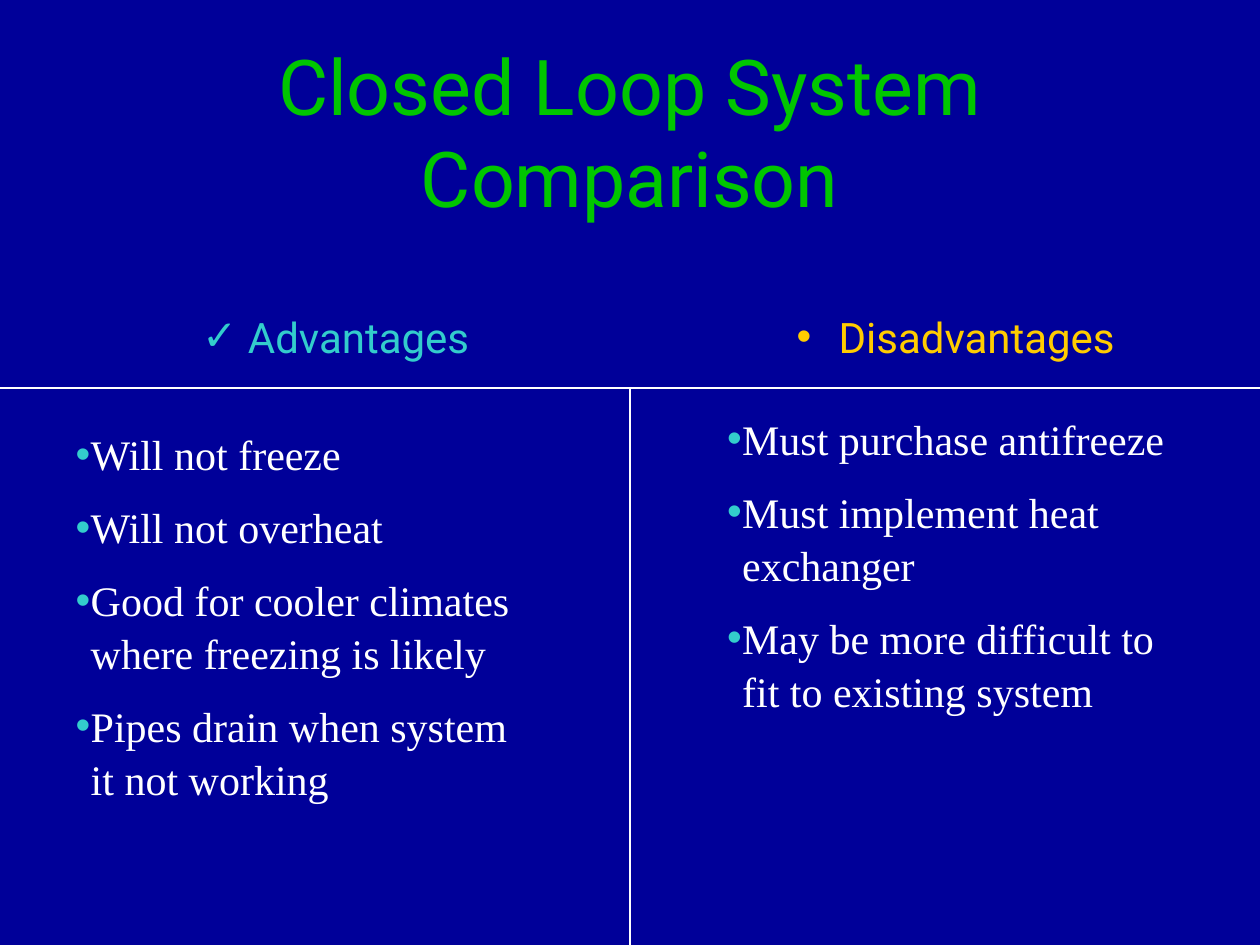
from pptx import Presentation
from pptx.dml.color import RGBColor as Rgb
from pptx.enum.shapes import MSO_CONNECTOR as Conn
from pptx.enum.text import MSO_ANCHOR as Anchor, MSO_AUTO_SIZE as Fit, PP_ALIGN as Align
from pptx.oxml.ns import qn
from pptx.util import Inches, Pt
from lxml.etree import SubElement as Sub

COLORS = {
    "back": "000099",
    "title": "00C600",
    "pro": "33CCCC",
    "con": "FFCC00",
    "text": "FFFFFF",
}
SANS, SERIF = "Roboto", "Times New Roman"

PROS = [
    "Will not freeze",
    "Will not overheat",
    "Good for cooler climates where freezing is likely",
    "Pipes drain when system it not working",
]
CONS = [
    "Must purchase antifreeze",
    "Must implement heat exchanger",
    "May be more difficult to fit to existing system",
]


def color(name):
    return Rgb.from_string(COLORS[name])


def place(holder, box, anchor=Anchor.TOP):
    """Move a placeholder and return its text frame."""
    holder.left, holder.top, holder.width, holder.height = map(Inches, box)
    frame = holder.text_frame
    frame.word_wrap = True
    frame.auto_size = Fit.NONE
    frame.vertical_anchor = anchor
    return frame


def add_run(para, text, font, size, tint):
    run = para.add_run()
    run.text = text
    run.font.name = font
    run.font.size = Pt(size)
    run.font.bold = False
    run.font.color.rgb = color(tint)


def set_bullet(para, char, tint, hang):
    props = para._p.get_or_add_pPr()
    props.set("marL", str(Inches(hang)))
    props.set("indent", str(-Inches(hang)))
    fill = Sub(props, qn("a:buClr"))
    Sub(fill, qn("a:srgbClr"), val=COLORS[tint])
    Sub(props, qn("a:buFont"), typeface="Arial")
    Sub(props, qn("a:buChar"), char=char)


def add_title(holder, text):
    para = place(holder, (0.5, 0.32, 9, 1.43), Anchor.MIDDLE).paragraphs[0]
    para.alignment = Align.CENTER
    add_run(para, text, SANS, 44, "title")


def add_head(holder, box, char, text, tint):
    para = place(holder, box).paragraphs[0]
    para.alignment = Align.CENTER
    para.space_before = Pt(0)
    set_bullet(para, char, tint, 0.25)
    add_run(para, text, SANS, 24, tint)


def add_list(holder, box, items):
    frame = place(holder, box)
    for i, item in enumerate(items):
        para = frame.add_paragraph() if i else frame.paragraphs[0]
        para.line_spacing = 1.05
        para.space_before = Pt(11.5)
        set_bullet(para, "•", "pro", 0.12)
        add_run(para, item, SERIF, 24, "text")


def add_rule(slide, *ends):
    rule = slide.shapes.add_connector(Conn.STRAIGHT, *map(Inches, ends))
    rule.line.color.rgb = color("text")
    rule.line.width = Pt(0.75)
    Sub(rule._element.spPr, qn("a:effectLst"))


def main():
    deck = Presentation()
    deck.slide_width, deck.slide_height = Inches(10), Inches(7.5)
    slide = deck.slides.add_slide(deck.slide_layouts.get_by_name("Comparison"))
    slide.background.fill.solid()
    slide.background.fill.fore_color.rgb = color("back")
    title, pro_head, pro_list, con_head, con_list = slide.placeholders

    add_title(title, "Closed Loop System Comparison")

    # Columns
    add_head(pro_head, (0.83, 2.42, 3.67, 0.5), "✓", " Advantages", "pro")
    add_list(pro_list, (0.5, 3.33, 3.83, 3.69), PROS)
    add_head(con_head, (5.92, 2.42, 3.33, 0.5), "•", " Disadvantages", "con")
    add_list(con_list, (5.67, 3.21, 3.83, 3.1), CONS)

    # Dividing lines
    add_rule(slide, 0, 3.08, 10, 3.08)
    add_rule(slide, 5, 3.08, 5, 7.5)

    deck.save("out.pptx")


if __name__ == "__main__":
    main()
